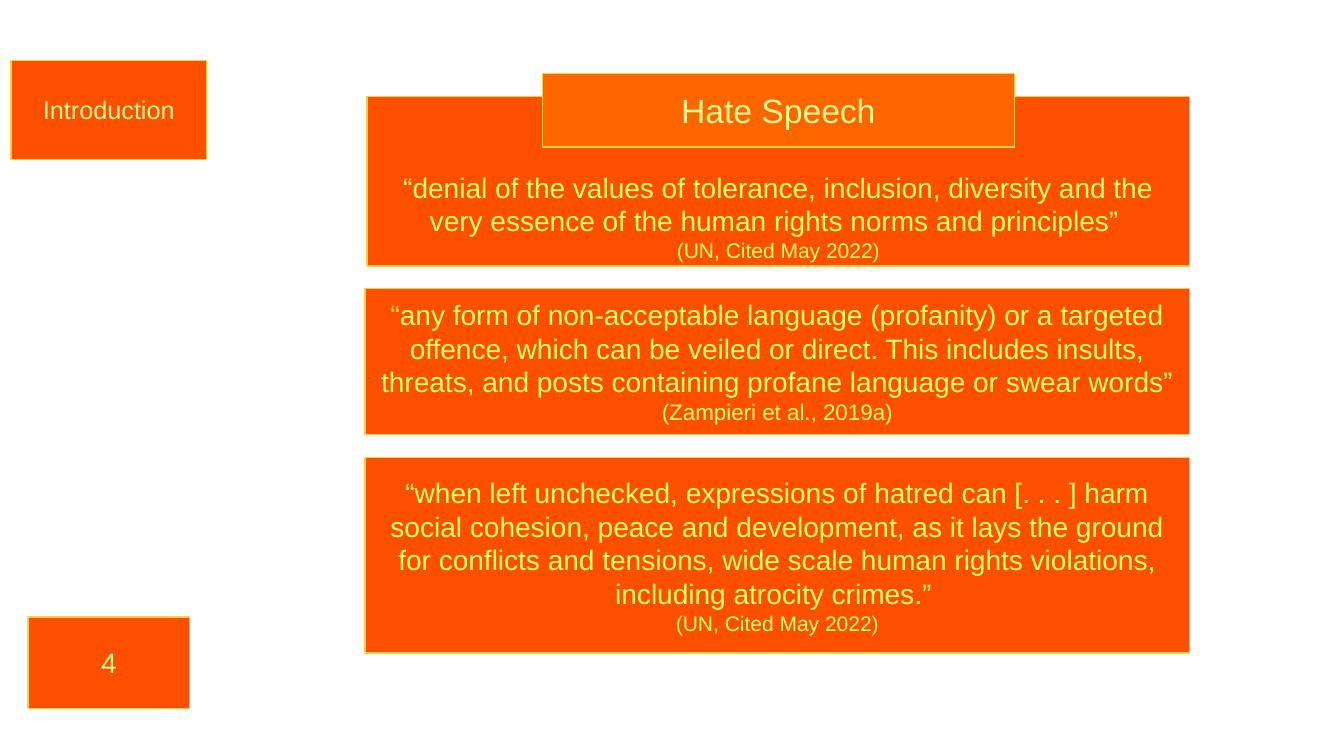
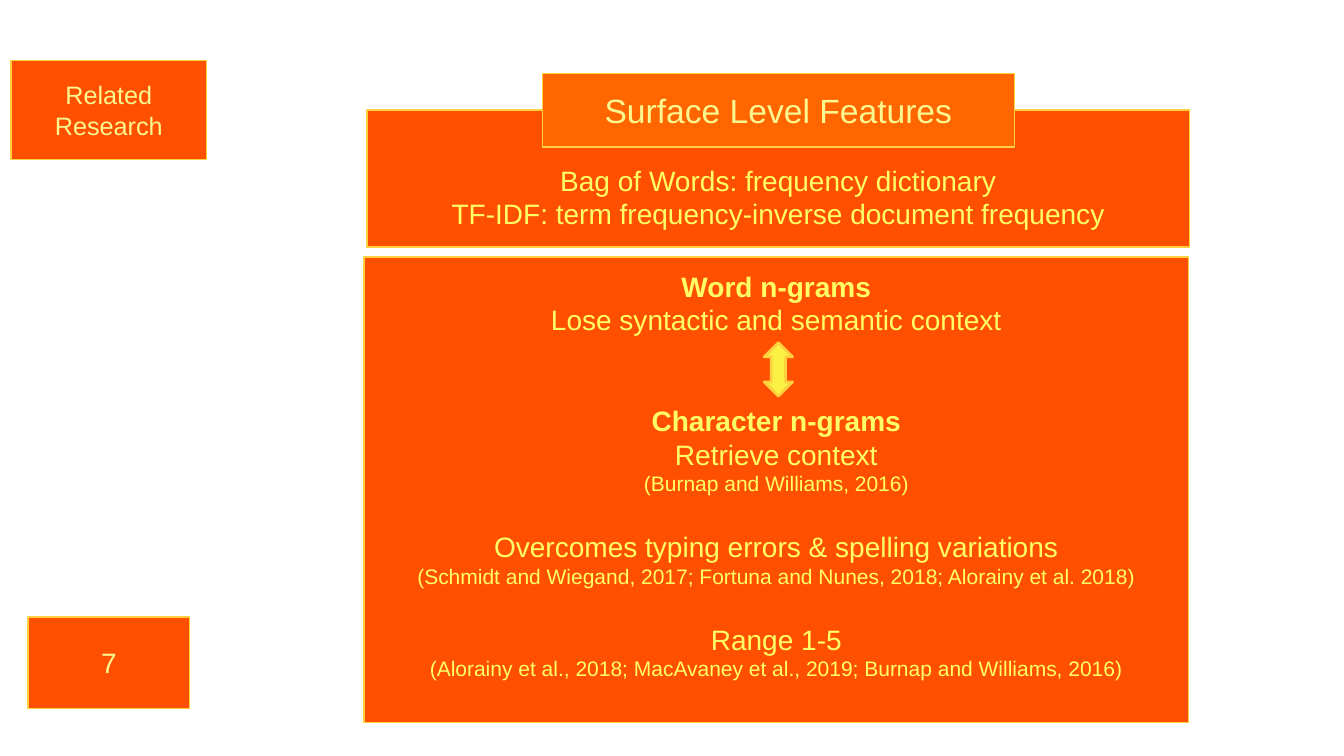
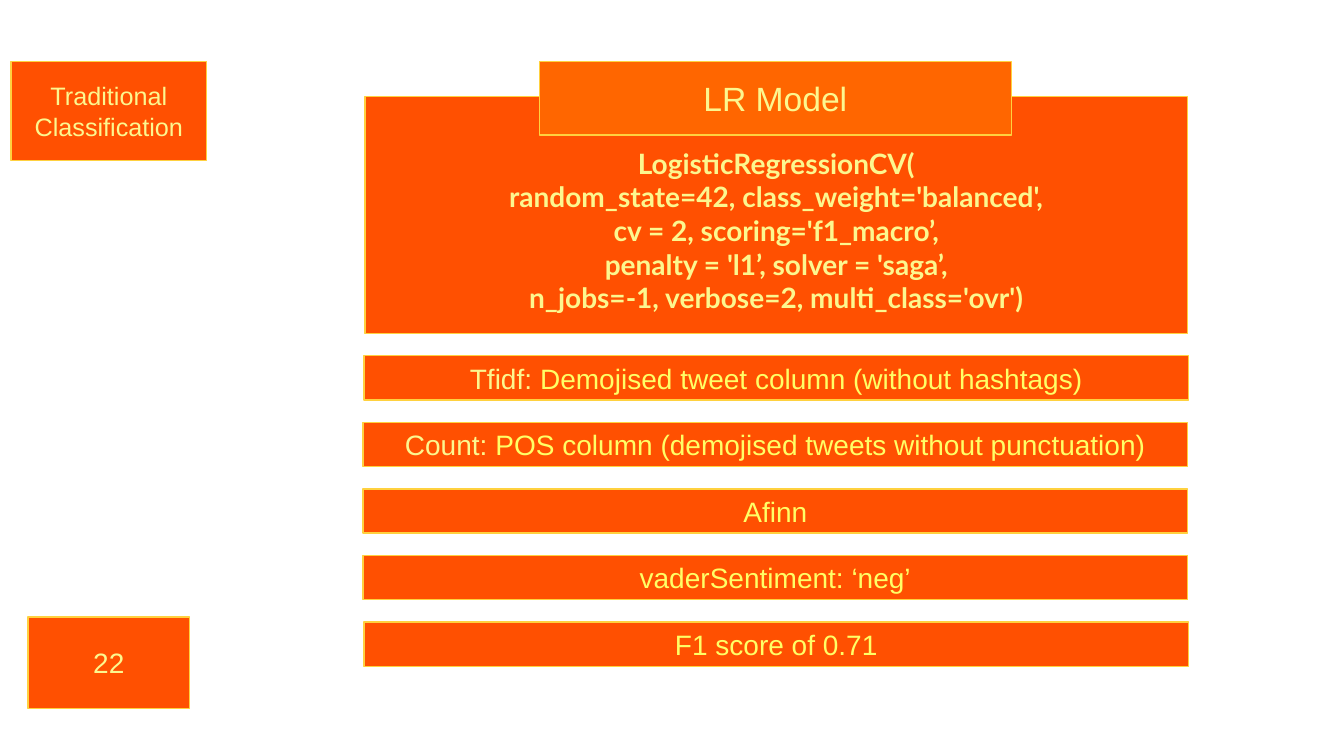
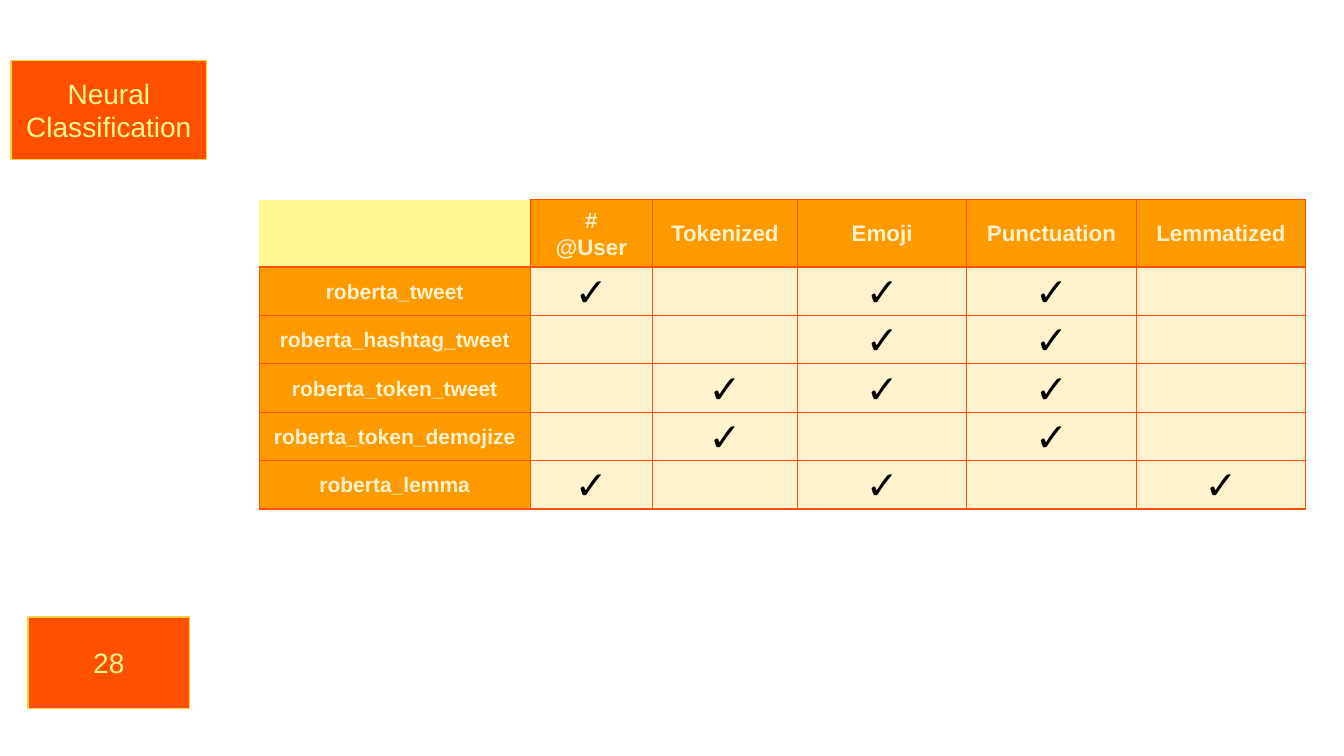
from dataclasses import dataclass
from typing import NamedTuple

from lxml.etree import SubElement
from pptx import Presentation
from pptx.dml.color import RGBColor
from pptx.enum.shapes import MSO_SHAPE
from pptx.enum.text import MSO_ANCHOR, MSO_AUTO_SIZE, PP_ALIGN
from pptx.oxml.ns import qn
from pptx.util import Inches, Pt


@dataclass(frozen=True)
class Theme:
    """Colours and type sizes of the deck."""
    panel: str = "FF5001"
    head: str = "FF6600"
    edge: str = "FFD13F"
    arrow: str = "FAF144"
    pale: str = "FCF78F"
    text: str = "FFFF66"
    label: str = "FF9900"
    cell: str = "FFF2CC"
    mark: str = "000000"
    font: str = "Arial"
    code: str = "Lato"

    def look(self, name):
        """Colour, then size, weight and font, of a named text style."""
        size, color, bold, font = {
            "head": (24, self.pale, False, self.font),
            "tag": (18, self.pale, False, self.font),
            "lead": (20, self.pale, False, self.font),
            "quote": (20, self.edge, False, self.font),
            "body": (20, self.text, False, self.font),
            "strong": (20, self.text, True, self.font),
            "cite": (15, self.text, False, self.font),
            "source": (16, self.text, False, self.font),
            "code": (20, self.pale, True, self.code),
            "column": (16, self.cell, True, self.font),
            "row": (15, self.cell, True, self.font),
            "mark": (28, self.mark, False, self.font),
        }[name]
        return color, {"size": Pt(size), "bold": bold, "name": font}


class Para(NamedTuple):
    runs: list
    gap: float = 0


def line(text, look="body", gap=0):
    return Para([(text, look)], gap)


def put(thing, values):
    for name, value in values.items():
        setattr(thing, name, value)


def paint(fill, color):
    fill.solid()
    fill.fore_color.rgb = RGBColor.from_string(color)


class Deck:
    TITLE = (5.38, 0.73, 4.68, 0.73)
    TAG = (0.11, 0.6, 1.94, 0.98)
    PAGE = (0.28, 6.12, 1.6, 0.91)

    def __init__(self, theme):
        self.theme = theme
        self.show = Presentation()
        put(self.show, {"slide_width": Inches(13.33), "slide_height": Inches(7.5)})
        self.slide = None

    def start(self, page):
        self.slide = self.show.slides.add_slide(self.show.slide_layouts[5])
        self.box(self.PAGE, [line(page, "lead")])

    def place(self, shape, at):
        names = ("left", "top", "width", "height")
        put(shape, dict(zip(names, map(Inches, at))))

    def skin(self, shape, fill, width=1):
        paint(shape.fill, fill)
        paint(shape.line.fill, self.theme.edge)
        shape.line.width = Pt(width)

    def typeset(self, frame, paras, extra=None):
        for i, para in enumerate(paras):
            p = frame.paragraphs[0] if i == 0 else frame.add_paragraph()
            put(p, {"alignment": PP_ALIGN.CENTER, "space_before": Pt(para.gap),
                    **(extra or {})})
            for text, look in para.runs:
                # A line break within a run is given as a newline.
                for j, part in enumerate(text.split("\n")):
                    if j:
                        p.add_line_break()
                    run = p.add_run()
                    run.text = part
                    color, values = self.theme.look(look)
                    put(run.font, values)
                    run.font.color.rgb = RGBColor.from_string(color)

    def fit(self, shape, paras, drop=None):
        """Fill a shape with text, centred or starting drop inches down."""
        frame = shape.text_frame
        middle = drop is None
        put(frame, {
            "word_wrap": True, "auto_size": MSO_AUTO_SIZE.NONE,
            "margin_left": Inches(0.1), "margin_right": Inches(0.1),
            "margin_top": Inches(0.05 if middle else drop),
            "margin_bottom": Inches(0.05),
            "vertical_anchor": MSO_ANCHOR.MIDDLE if middle else MSO_ANCHOR.TOP,
        })
        self.typeset(frame, paras)

    def box(self, at, paras, drop=None):
        shape = self.slide.shapes.add_shape(MSO_SHAPE.RECTANGLE, *map(Inches, at))
        shape.shadow.inherit = False
        self.skin(shape, self.theme.panel)
        self.fit(shape, paras, drop)

    def tag(self, text, at=TAG):
        self.box(at, [line(text, "tag")])

    def title(self, text, at=TITLE, look="head", fill=None):
        """Dress the title placeholder and bring it in front."""
        shape = self.slide.shapes.title
        self.place(shape, at)
        self.skin(shape, fill or self.theme.head)
        self.fit(shape, [line(text, look)])
        shape.element.getparent().append(shape.element)

    def arrow(self, at):
        shape = self.slide.shapes.add_shape(
            MSO_SHAPE.UP_DOWN_ARROW, *map(Inches, at))
        shape.shadow.inherit = False
        self.skin(shape, self.theme.arrow, 2)

    def edges(self, cell, sides):
        props = cell._tc.get_or_add_tcPr()
        for side in "LRTB":
            edge = SubElement(props, qn(f"a:ln{side}"), w=str(Pt(1)))
            if side in sides:
                fill = SubElement(edge, qn("a:solidFill"))
                SubElement(fill, qn("a:srgbClr"), val=self.theme.panel)
            else:
                SubElement(edge, qn("a:noFill"))

    def table(self, at, widths, heights, rows):
        grid = self.slide.shapes.add_table(
            len(rows), len(widths), *map(Inches, at)).table
        for col, width in zip(grid.columns, widths):
            col.width = Inches(width)
        for row, height in zip(grid.rows, heights):
            row.height = Inches(height)
        for r, row in enumerate(rows):
            for c, text in enumerate(row):
                self.cell(grid.cell(r, c), r, c, text)

    def cell(self, cell, r, c, text):
        theme = self.theme
        corner = r == c == 0
        look = "column" if r == 0 else "row" if c == 0 else "mark"
        fill = theme.cell if look == "mark" else theme.label
        put(cell, {"margin_left": Inches(0.07), "margin_right": Inches(0.07),
                   "margin_top": 0, "margin_bottom": 0,
                   "vertical_anchor": MSO_ANCHOR.MIDDLE})
        self.edges(cell, "RB" if corner else "LRTB")
        paint(cell.fill, theme.pale if corner else fill)
        if text:
            self.typeset(cell.text_frame, [line(text, look)],
                         {"line_spacing": 1.07, "space_after": Pt(8)})


def speech(deck):
    deck.start("4")
    deck.box((3.64, 0.96, 8.16, 1.68), [
        line("“denial of the values of tolerance, inclusion, diversity and the "
             "very essence of the human rights norms and principles” "),
        line("(UN, Cited May 2022)", "cite")], drop=0.73)
    deck.title("Hate Speech")
    deck.tag("Introduction")
    deck.box((3.62, 2.86, 8.18, 1.45), [Para([
        ("“", "quote"),
        ("any form of non-acceptable language (profanity) or a targeted "
         "offence, which can be veiled or direct. This includes insults, "
         "threats, and posts containing profane language or swear words” ",
         "body"),
        ("(Zampieri et al., 2019a)", "source")])])
    deck.box((3.62, 4.54, 8.18, 1.94), [
        line("“when left unchecked, expressions of hatred can [. . . ] harm "
             "social cohesion, peace and development, as it lays the ground "
             "for conflicts and tensions, wide scale human rights violations, "
             "including atrocity crimes.” "),
        line("(UN, Cited May 2022)", "cite")])


def surface(deck):
    deck.start("7")
    deck.box((3.64, 1.09, 8.16, 1.36), [
        line("Bag of Words: frequency dictionary"),
        line("TF-IDF: term frequency-inverse document frequency")], drop=0.53)
    deck.title("Surface Level Features")
    deck.tag("Related Research")
    deck.box((3.61, 2.55, 8.18, 4.62), [
        line("Word n-grams", "strong"),
        line("Lose syntactic and semantic context"),
        line("Character n-grams", "strong", gap=48),
        line("Retrieve context"),
        line("(Burnap and Williams, 2016)", "cite"),
        line("Overcomes typing errors & spelling variations", gap=24),
        line("(Schmidt and Wiegand, 2017; Fortuna and Nunes, 2018; "
             "Alorainy et al. 2018)", "cite"),
        line("Range 1-5", gap=24),
        line("(Alorainy et al., 2018; MacAvaney et al., 2019; "
             "Burnap and Williams, 2016)", "cite")], drop=0.12)
    deck.arrow((7.58, 3.4, 0.28, 0.53))


def model(deck):
    deck.start("22")
    code = ("LogisticRegressionCV(",
            "random_state=42, class_weight='balanced',",
            "cv = 2, scoring='f1_macro’,",
            "penalty = 'l1’, solver = 'saga’,",
            "n_jobs=-1, verbose=2, multi_class='ovr')")
    deck.box((3.62, 0.96, 8.16, 2.35), [line(t, "code") for t in code], drop=0.49)
    deck.title("LR Model", (5.35, 0.61, 4.68, 0.73))
    deck.tag("Traditional Classification", (0.11, 0.61, 1.94, 0.98))
    bars = (
        [("Tfidf: ", "lead"),
         ("Demojised tweet column (without hashtags)", "body")],
        [("Count: ", "lead"),
         ("POS column (demojised tweets without punctuation)", "body")],
        [("Afinn", "body")],
        [("vaderSentiment: ‘neg’", "body")],
        [("F1 score of 0.71", "body")])
    for i, runs in enumerate(bars):
        left = 3.61 if i in (0, len(bars) - 1) else 3.6
        deck.box((left, 3.53 + i * 0.66, 8.18, 0.44), [Para(runs)])


def neural(deck):
    deck.start("28")
    deck.title("Neural Classification", deck.TAG, "lead", deck.theme.panel)
    heads = ["", "#\n@User", "Tokenized", "Emoji", "Punctuation", "Lemmatized"]
    marks = {"roberta_tweet": (1, 3, 4),
             "roberta_hashtag_tweet": (3, 4),
             "roberta_token_tweet": (2, 3, 4),
             "roberta_token_demojize": (2, 4),
             "roberta_lemma": (1, 3, 5)}
    rows = [heads] + [
        [name] + ["✓" if c in cols else "" for c in range(1, len(heads))]
        for name, cols in marks.items()]
    deck.table((2.57, 1.98, 10.37, 3.07), [2.69, 1.21, 1.44] + [1.68] * 3,
               [0.67] + [0.48] * len(marks), rows)


def main():
    deck = Deck(Theme())
    for build in (speech, surface, model, neural):
        build(deck)
    deck.show.save("out.pptx")


if __name__ == "__main__":
    main()
